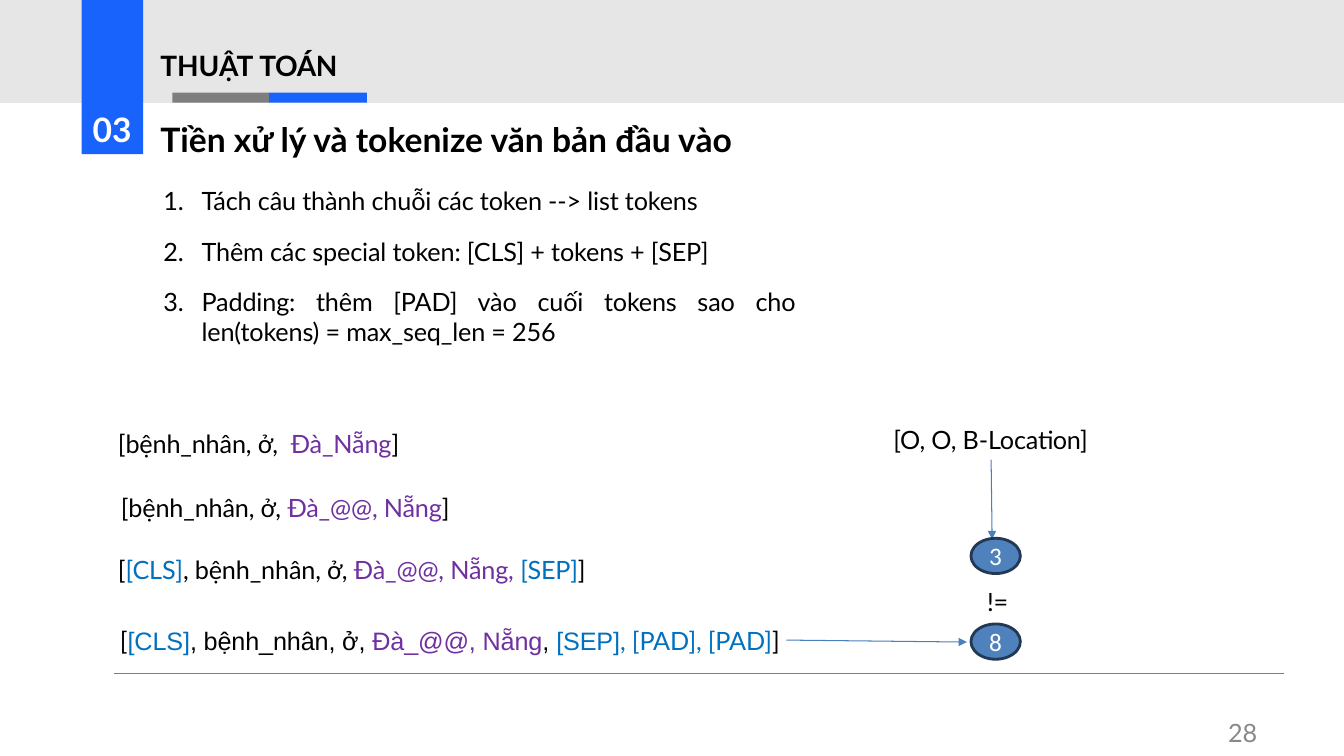
"""Build the slide on preprocessing and tokenizing the input text."""
from lxml import etree
from pptx import Presentation
from pptx.dml.color import RGBColor
from pptx.enum import shapes, text
from pptx.oxml.ns import qn
from pptx.util import Inches, Pt

BLACK = RGBColor(0x00, 0x00, 0x00)
WHITE = RGBColor(0xFF, 0xFF, 0xFF)
BAND = RGBColor(0xE7, 0xE6, 0xE6)
GRAY = RGBColor(0x7E, 0x7E, 0x7E)
PAGE_GRAY = RGBColor(0x88, 0x88, 0x88)
BLUE = RGBColor(0x17, 0x63, 0xFB)
PURPLE = RGBColor(0x70, 0x30, 0xA0)
TOKEN_BLUE = RGBColor(0x00, 0x70, 0xC0)
ARROW_BLUE = RGBColor(0x4B, 0x7E, 0xBC)
OVAL_FILL = RGBColor(0x4F, 0x81, 0xBD)
OVAL_LINE = RGBColor(0x23, 0x39, 0x53)


def set_frame(shape, left=0, top=0.01, bottom=0, anchor=text.MSO_ANCHOR.TOP):
    frame = shape.text_frame
    frame.word_wrap = True
    frame.auto_size = text.MSO_AUTO_SIZE.NONE
    frame.vertical_anchor = anchor
    frame.margin_left, frame.margin_right = Inches(left), 0
    frame.margin_top, frame.margin_bottom = Inches(top), Inches(bottom)
    return frame.paragraphs[0]


def add_run(paragraph, words, color=BLACK, size=18, font="Lato", bold=False, spacing=-10):
    run = paragraph.add_run()
    run.text = words
    run.font.name = font
    run.font.size = Pt(size)
    run.font.bold = bold
    run.font.color.rgb = color
    run._r.get_or_add_rPr().set("spc", str(spacing))


presentation = Presentation()
presentation.slide_width = Inches(13.33)
presentation.slide_height = Inches(7.5)
slide = presentation.slides.add_slide(presentation.slide_layouts[5])

title = slide.shapes.title
title.left, title.top = Inches(1.58), Inches(1.17)
title.width, title.height = Inches(6.36), Inches(0.42)
paragraph = set_frame(title, left=0.01)
paragraph.alignment = text.PP_ALIGN.LEFT
add_run(paragraph, "Tiền xử lý và tokenize văn bản đầu vào", size=24, bold=True, spacing=0)

blocks = [
    (0, 0, 13.33, 1.02, BAND),
    (1.71, 0.92, 0.96, 0.1, GRAY),
    (2.67, 0.92, 0.97, 0.1, BLUE),
    (0.81, 0, 0.61, 1.53, BLUE),
]
for left, top, width, height, color in blocks:
    block = slide.shapes.add_shape(
        shapes.MSO_SHAPE.RECTANGLE, Inches(left), Inches(top), Inches(width), Inches(height))
    block.shadow.inherit = False
    block.fill.solid()
    block.fill.fore_color.rgb = color
    block.line.fill.background()
section_tab = block
paragraph = set_frame(section_tab, left=0.11, bottom=0.05, anchor=text.MSO_ANCHOR.BOTTOM)
paragraph.alignment = text.PP_ALIGN.LEFT
add_run(paragraph, "03", WHITE, size=24, bold=True)

heading = slide.shapes.add_textbox(Inches(1.42), Inches(0.48), Inches(11.92), Inches(0.44))
paragraph = set_frame(heading, left=0.17, top=0)
add_run(paragraph, "THUẬT ", size=20, bold=True, spacing=0)
add_run(paragraph, "TOÁN", size=20, bold=True, spacing=-30)

steps = [
    "Tách câu thành chuỗi các token --> list tokens",
    "Thêm các special token: [CLS] + tokens + [SEP]",
    "Padding: thêm [PAD] vào cuối tokens sao cho len(tokens) = max_seq_len = 256",
]
step_list = slide.shapes.add_textbox(Inches(1.11), Inches(1.83), Inches(6.78), Inches(1.8))
paragraph = set_frame(step_list)
for index, step in enumerate(steps):
    if index:
        paragraph = step_list.text_frame.add_paragraph()
    paragraph.alignment = text.PP_ALIGN.JUSTIFY
    paragraph.space_before = Pt(14.5)
    properties = paragraph._p.get_or_add_pPr()
    properties.set("marL", str(Inches(0.89)))
    properties.set("indent", str(Inches(-0.38)))
    bullet_font = etree.SubElement(properties, qn("a:buFont"))
    bullet_font.set("typeface", "Lato")
    etree.SubElement(properties, qn("a:buAutoNum")).set("type", "arabicPeriod")
    add_run(paragraph, step)

token_lines = [
    (1.08, 4.24, 3.28, [("[bệnh_nhân, ở,  ", BLACK), ("Đà_Nẵng", PURPLE), ("]", BLACK)]),
    (8.77, 4.2, 3.59, [("[O, O, B-Location]", BLACK)]),
    (1.11, 4.87, 5.76, [("[bệnh_nhân, ở, ", BLACK), ("Đà_@@, Nẵng", PURPLE), ("]", BLACK)]),
    (1.08, 5.49, 8.18, [
        ("[", BLACK), ("[CLS]", TOKEN_BLUE), (", bệnh_nhân, ở, ", BLACK),
        ("Đà_@@, Nẵng, ", PURPLE), ("[SEP]", TOKEN_BLUE), ("]", BLACK)]),
    (1.1, 6.19, 12, [
        ("[", BLACK), ("[CLS]", TOKEN_BLUE, 18, "Arial"),
        (", bệnh_nhân, ở, ", BLACK, 18, "Arial"), ("Đà_@@, Nẵng", PURPLE, 18, "Arial"),
        (", ", BLACK, 18, "Arial"), ("[SEP]", TOKEN_BLUE, 18, "Arial"),
        (", [PAD], [PAD]", TOKEN_BLUE), ("]", BLACK)]),
    (9.7, 5.81, 0.37, [("!=", BLACK)]),
    (12.09, 7.11, 0.65, [("28", PAGE_GRAY)]),
]
for left, top, width, runs in token_lines:
    token_box = slide.shapes.add_textbox(Inches(left), Inches(top), Inches(width), Inches(0.32))
    paragraph = set_frame(token_box, left=0.09)
    for run in runs:
        add_run(paragraph, *run)

lines = [
    (1.13, 6.68, 12.74, 6.68, GRAY, 1, False),
    (9.83, 4.56, 9.84, 5.35, ARROW_BLUE, 0.75, True),
    (7.8, 6.35, 9.59, 6.37, ARROW_BLUE, 0.75, True),
]
for x1, y1, x2, y2, color, weight, has_arrow in lines:
    line = slide.shapes.add_connector(
        shapes.MSO_CONNECTOR.STRAIGHT, Inches(x1), Inches(y1), Inches(x2), Inches(y2))
    line.line.color.rgb = color
    line.line.width = Pt(weight)
    if has_arrow:
        etree.SubElement(line.line._get_or_add_ln(), qn("a:tailEnd")).set("type", "triangle")
    etree.SubElement(line._element.spPr, qn("a:effectLst"))

for top, count in [(5.34, "3"), (6.19, "8")]:
    oval = slide.shapes.add_shape(
        shapes.MSO_SHAPE.OVAL, Inches(9.63), Inches(top), Inches(0.49), Inches(0.35))
    oval.shadow.inherit = False
    oval.fill.solid()
    oval.fill.fore_color.rgb = OVAL_FILL
    oval.line.color.rgb = OVAL_LINE
    oval.line.width = Pt(2)
    paragraph = set_frame(oval, top=0, anchor=text.MSO_ANCHOR.MIDDLE)
    paragraph.alignment = text.PP_ALIGN.CENTER
    add_run(paragraph, count, WHITE, font="Calibri", spacing=0)

presentation.save("out.pptx")
